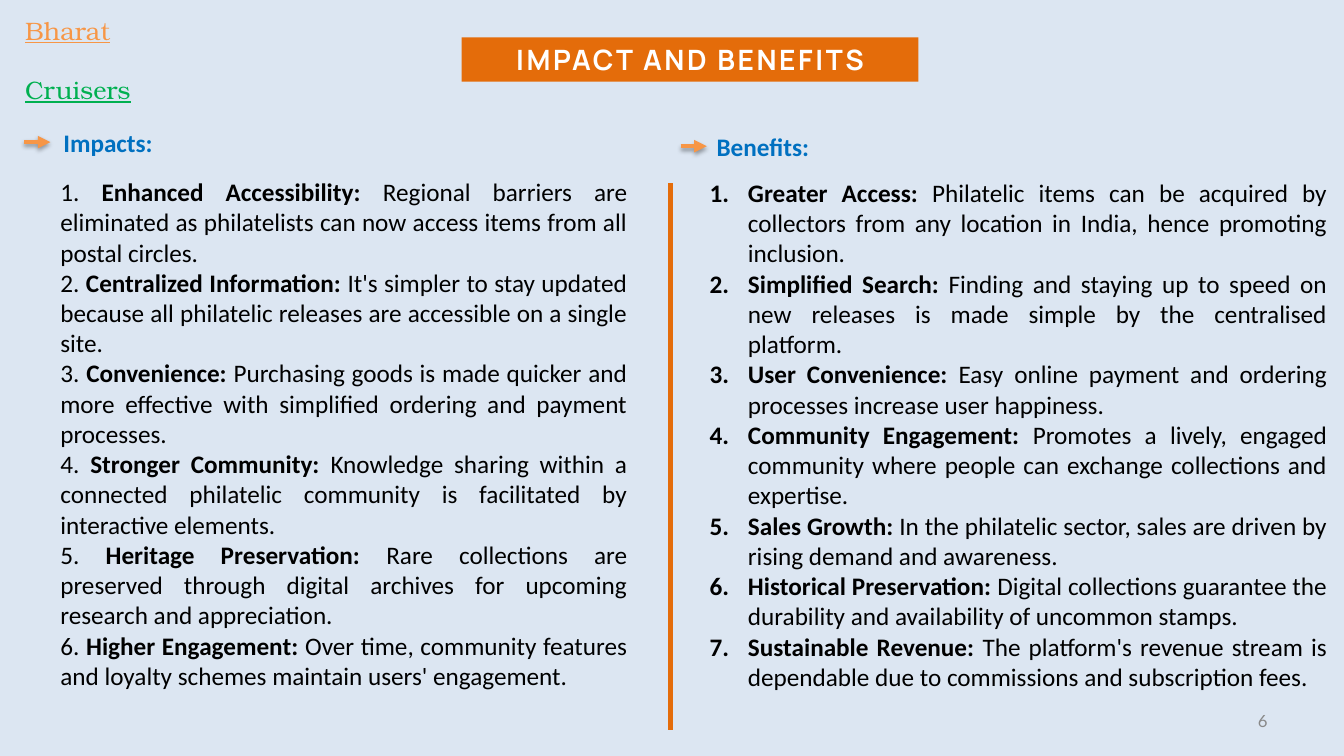
import lxml.etree
import pptx
import pptx.dml.color
import pptx.enum.shapes
import pptx.enum.text
import pptx.oxml.ns
import pptx.util
from dataclasses import dataclass

Inches = pptx.util.Inches
Align = pptx.enum.text.PP_ALIGN
Anchor = pptx.enum.text.MSO_ANCHOR


@dataclass(frozen=True)
class Theme:
    sky: str = "DCE6F2"
    rust: str = "E46C0A"
    orange: str = "F79646"
    green: str = "00B050"
    blue: str = "0070C0"
    black: str = "000000"
    white: str = "FFFFFF"
    grey: str = "898989"
    small: int = 12
    body: int = 18
    title: int = 20
    text_font: str = "Calibri"
    title_font: str = "Manrope"
    team_font: str = "TeX Gyre Bonum"
    number_font: str = "Lato"


def color(code):
    return pptx.dml.color.RGBColor.from_string(code)


def add_xml(parent, tag, **values):
    node = lxml.etree.SubElement(parent, pptx.oxml.ns.qn(tag))
    for name, value in values.items():
        node.set(name, str(value))
    return node


def apply(target, values):
    for name, value in values.items():
        setattr(target, name, value)


class SlideBuilder:
    def __init__(self, deck, theme):
        self.theme = theme
        self.page = deck.slides.add_slide(deck.slide_layouts[6])
        fill = self.page.background.fill
        fill.solid()
        fill.fore_color.rgb = color(theme.sky)

    def span(self, para, text, ink=None, size=None, name=None, **values):
        span = para.add_run()
        span.text = text
        apply(span.font, {
            "name": name or self.theme.text_font,
            "size": pptx.util.Pt(size or self.theme.body),
            **values,
        })
        span.font.color.rgb = color(ink or self.theme.black)
        return span

    def box(self, left, top, width, height, **values):
        box = self.page.shapes.add_textbox(*map(Inches, (left, top, width, height)))
        apply(box.text_frame, {"word_wrap": True, **values})
        return box.text_frame

    def label(self, area, text, align=Align.LEFT, anchor=Anchor.TOP, **values):
        para = self.box(*area, vertical_anchor=anchor).paragraphs[0]
        para.alignment = align
        self.span(para, text, **values)

    def banner(self, area, text):
        theme = self.theme
        banner = self.page.shapes.add_shape(
            pptx.enum.shapes.MSO_SHAPE.RECTANGLE, *map(Inches, area))
        banner.shadow.inherit = False
        banner.fill.solid()
        banner.fill.fore_color.rgb = color(theme.rust)
        banner.line.fill.background()
        para = banner.text_frame.paragraphs[0]
        para.alignment = Align.CENTER
        span = self.span(para, text, theme.white, theme.title, theme.title_font, bold=True)
        span.font._element.set("spc", "180")

    def team(self, area, words):
        frame = self.box(*area)
        for index, (word, ink) in enumerate(words):
            para = frame.add_paragraph() if index else frame.paragraphs[0]
            para.space_before = pptx.util.Pt(21 if index else 0)
            self.span(para, word, ink, name=self.theme.team_font, underline=True)

    def points(self, area, items, hanging=False):
        frame = self.box(*area)
        for index, (heading, detail) in enumerate(items):
            para = frame.add_paragraph() if index else frame.paragraphs[0]
            para.alignment = Align.JUSTIFY
            if hanging:
                indent = Inches(0.38)
                settings = para._p.get_or_add_pPr()
                settings.set("marL", str(indent))
                settings.set("indent", str(-indent))
                add_xml(settings, "a:buFont", typeface="+mj-lt")
                add_xml(settings, "a:buAutoNum", type="arabicPeriod")
            else:
                self.span(para, f"{index + 1}. ")
            self.span(para, f"{heading}: ", bold=True)
            self.span(para, detail, bold=False)

    def line(self, start, end, ink, width, arrow=False):
        line = self.page.shapes.add_connector(
            pptx.enum.shapes.MSO_CONNECTOR.STRAIGHT, *map(Inches, start + end))
        line.line.color.rgb = color(ink)
        line.line.width = pptx.util.Pt(width)
        properties = line._element.spPr
        effects = add_xml(properties, "a:effectLst")
        if arrow:
            add_xml(line.line._get_or_add_ln(), "a:tailEnd", type="triangle")
            shadow = add_xml(effects, "a:outerShdw", blurRad=pptx.util.Pt(3.1),
                             dist=pptx.util.Pt(1.8), dir=5400000, rotWithShape=0)
            shade = add_xml(shadow, "a:srgbClr", val=self.theme.black)
            add_xml(shade, "a:alpha", val=35000)

    def heading(self, left, top, text):
        self.label((left, top, 6.67, 0.4), text, ink=self.theme.blue, bold=True)


IMPACTS = [
    ("Enhanced Accessibility", "Regional barriers are eliminated as philatelists can now access items from all postal circles."),
    ("Centralized Information", "It's simpler to stay updated because all philatelic releases are accessible on a single site."),
    ("Convenience", "Purchasing goods is made quicker and more effective with simplified ordering and payment processes."),
    ("Stronger Community", "Knowledge sharing within a connected philatelic community is facilitated by interactive elements."),
    ("Heritage Preservation", "Rare collections are preserved through digital archives for upcoming research and appreciation."),
    ("Higher Engagement", "Over time, community features and loyalty schemes maintain users' engagement."),
]
BENEFITS = [
    ("Greater Access", "Philatelic items can be acquired by collectors from any location in India, hence promoting inclusion."),
    ("Simplified Search", "Finding and staying up to speed on new releases is made simple by the centralised platform."),
    ("User Convenience", "Easy online payment and ordering processes increase user happiness."),
    ("Community Engagement", "Promotes a lively, engaged community where people can exchange collections and expertise."),
    ("Sales Growth", "In the philatelic sector, sales are driven by rising demand and awareness."),
    ("Historical Preservation", "Digital collections guarantee the durability and availability of uncommon stamps."),
    ("Sustainable Revenue", "The platform's revenue stream is dependable due to commissions and subscription fees."),
]


def main():
    deck = pptx.Presentation()
    apply(deck, {"slide_width": Inches(13.33), "slide_height": Inches(7.5)})
    theme = Theme()
    slide = SlideBuilder(deck, theme)
    slide.label((9.56, 6.95, 3.11, 0.4), "6", Align.RIGHT, Anchor.MIDDLE,
                ink=theme.grey, size=theme.small, name=theme.number_font)
    slide.banner((4.58, 0.37, 4.53, 0.44), "IMPACT AND BENEFITS")
    slide.team((0.15, 0.1, 1.48, 1), [("Bharat", theme.orange), ("Cruisers", theme.green)])
    slide.line((6.65, 1.82), (6.65, 7.24), theme.rust, 4)
    slide.points((0.5, 1.7, 5.82, 5.25), IMPACTS)
    slide.points((6.94, 1.71, 6.32, 5.26), BENEFITS, hanging=True)
    slide.heading(0.53, 1.21, "Impacts:")
    slide.heading(7.01, 1.25, "Benefits:")
    for left, top in ((0.24, 1.41), (6.75, 1.45)):
        slide.line((left, top), (left + 0.26, top), theme.orange, 3, arrow=True)
    deck.save("out.pptx")


if __name__ == "__main__":
    main()
